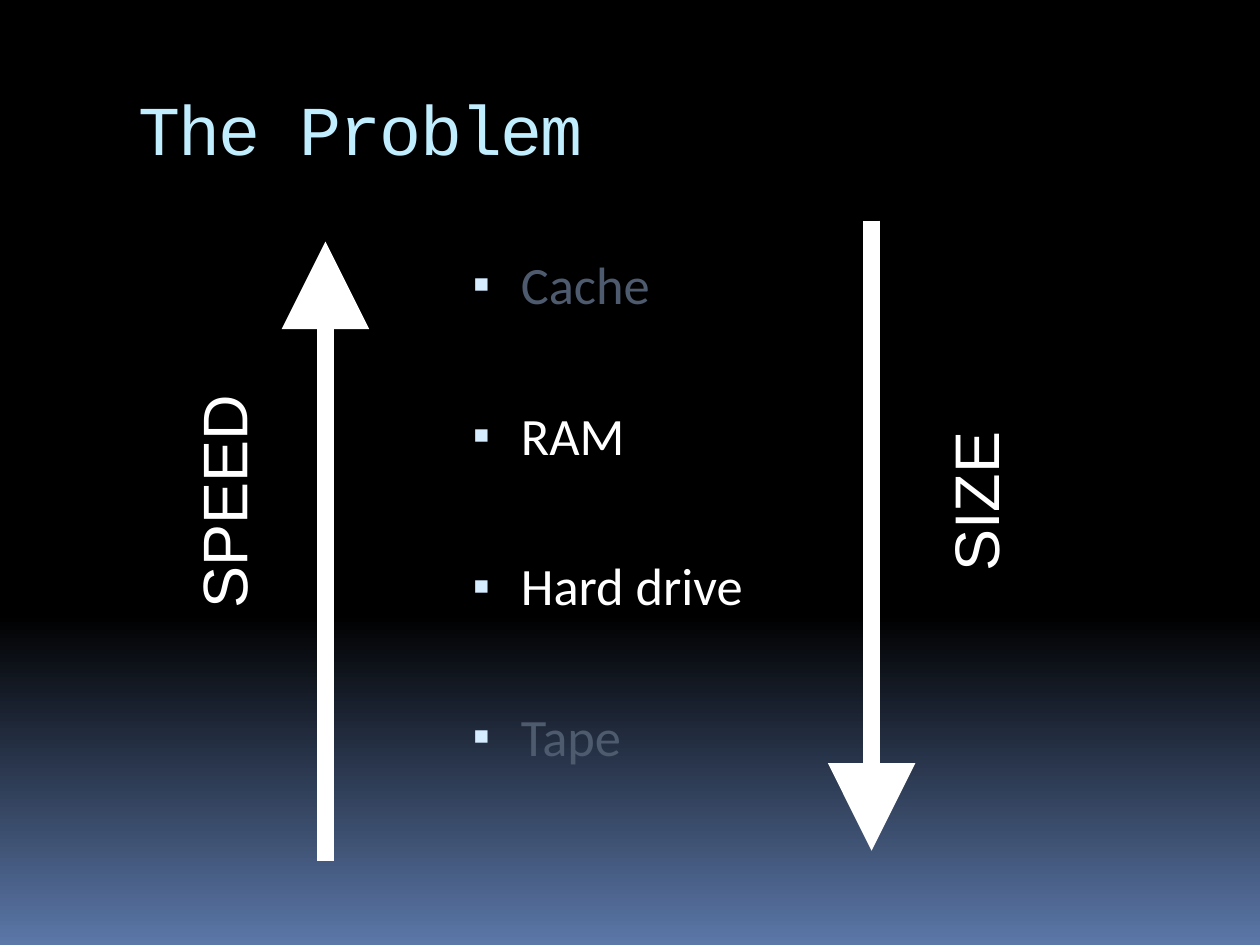
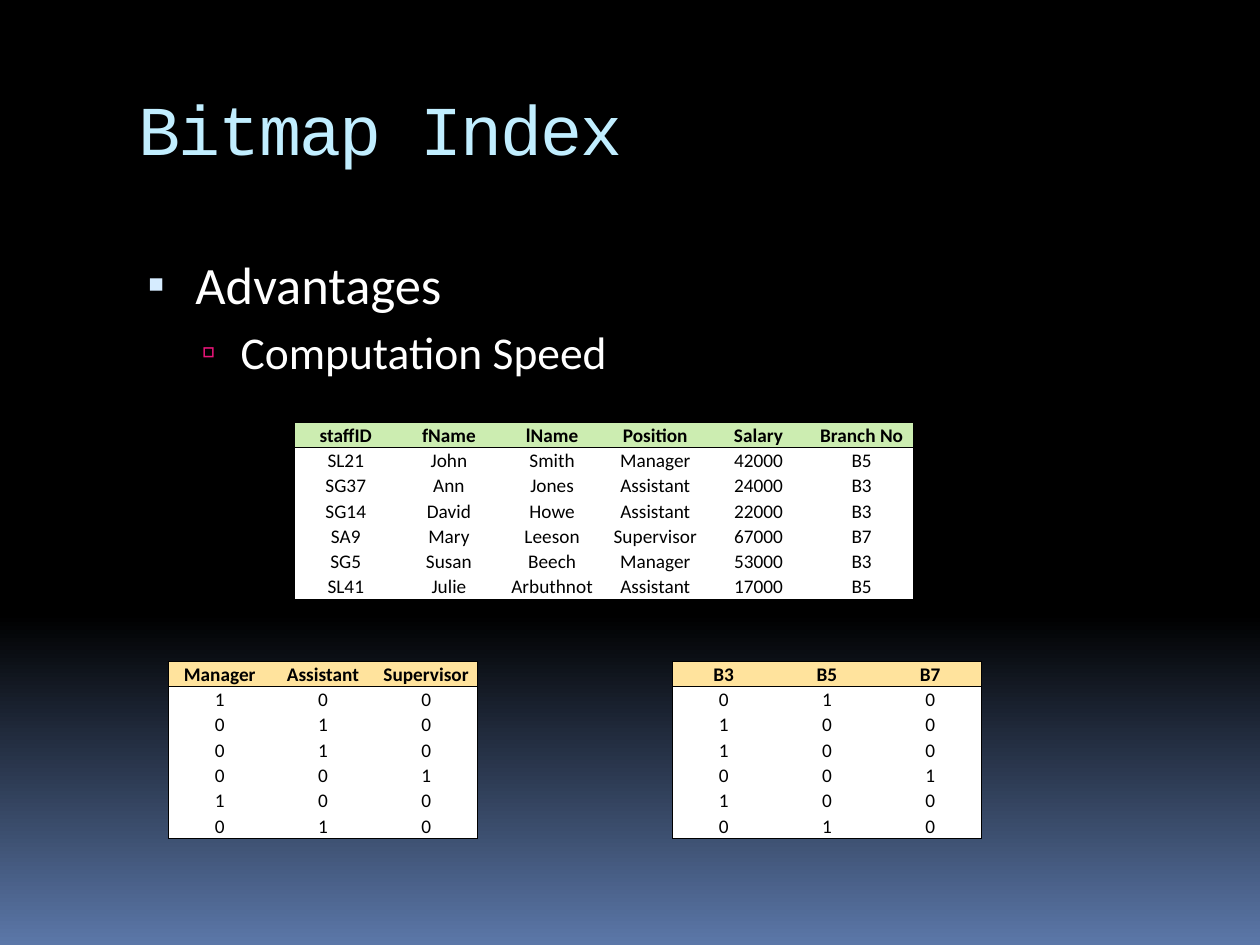
import pptx
import pptx.dml.color
import pptx.enum.shapes
import pptx.enum.text
import pptx.oxml
import pptx.oxml.ns
import pptx.util
from lxml import etree

Cm = pptx.util.Cm
Pt = pptx.util.Pt
RGBColor = pptx.dml.color.RGBColor
Anchor = pptx.enum.text.MSO_ANCHOR
Align = pptx.enum.text.PP_ALIGN
qn = pptx.oxml.ns.qn

BLACK = RGBColor(0x00, 0x00, 0x00)
WHITE = RGBColor(0xFF, 0xFF, 0xFF)
HORIZON_BLUE = RGBColor(0x5B, 0x77, 0xA8)
TITLE_BLUE = RGBColor(0xC1, 0xEE, 0xFF)
BULLET_BLUE = RGBColor(0xD6, 0xEC, 0xFF)
BULLET_PINK = RGBColor(0xEA, 0x15, 0x7A)
DIMMED = RGBColor(0x4E, 0x5B, 0x6F)
HEADER_GREEN = RGBColor(0xCC, 0xED, 0xB1)
HEADER_YELLOW = RGBColor(0xFF, 0xE3, 0x9D)

TITLE_FONT = {"name": "Courier New", "size": Pt(40)}
AXIS_FONT = {"name": "Arial", "size": Pt(36)}
CELL_FONT = {"name": "Calibri", "size": Pt(11)}
CELL_FORMAT = {
    "vertical_anchor": Anchor.BOTTOM,
    "margin_left": Cm(0.03),
    "margin_right": Cm(0.03),
    "margin_top": Cm(0.03),
    "margin_bottom": Cm(0),
}
BULLET_LEVELS = [
    {"char": "▪", "color": BULLET_BLUE, "percent": 95, "size": Pt(30),
     "left": Cm(1.15), "hanging": Cm(0.97)},
    {"char": "▫", "color": BULLET_PINK, "percent": 90, "size": Pt(26),
     "left": Cm(2.06), "hanging": Cm(0.79)},
]
# Left edge and width of each bar beside the title
TITLE_BARS = [(Cm(0.86), Cm(0.13)), (Cm(0.74), Cm(0.08)),
              (Cm(0.69), Cm(0.03)), (Cm(0.61), Cm(0.03))]

COLUMN_WIDTH = Cm(2.08)
ROW_HEIGHT = Cm(0.51)
NO_GRID_STYLE = "{2D5ABB26-0587-4C30-8999-92F81FD0307C}"

STAFF_HEADER = ["staffID", "fName", "lName", "Position", "Salary", "Branch No"]
STAFF = [
    ["SL21", "John", "Smith", "Manager", "42000", "B5"],
    ["SG37", "Ann", "Jones", "Assistant", "24000", "B3"],
    ["SG14", "David", "Howe", "Assistant", "22000", "B3"],
    ["SA9", "Mary", "Leeson", "Supervisor", "67000", "B7"],
    ["SG5", "Susan", "Beech", "Manager", "53000", "B3"],
    ["SL41", "Julie", "Arbuthnot", "Assistant", "17000", "B5"],
]


def apply_format(target, values):
    for name, value in values.items():
        setattr(target, name, value)


def add_run(paragraph, text, font, color):
    run = paragraph.add_run()
    run.text = text
    apply_format(run.font, font)
    run.font.color.rgb = color
    return run


def add_text_frame(slide, left, top, width, height, anchor=Anchor.TOP):
    box = slide.shapes.add_textbox(left, top, width, height)
    apply_format(box.text_frame, {"word_wrap": True, "vertical_anchor": anchor})
    return box.text_frame


def add_title_bars(slide):
    for left, width in TITLE_BARS:
        bar = slide.shapes.add_shape(
            pptx.enum.shapes.MSO_SHAPE.RECTANGLE, left, Cm(1.88), width, Cm(1.02))
        bar.shadow.inherit = False
        bar.fill.solid()
        bar.fill.fore_color.rgb = BLACK
        bar.line.fill.background()


def add_titled_slide(presentation, title):
    slide = presentation.slides.add_slide(presentation.slide_layouts[6])
    fill = slide.background.fill
    fill.gradient()
    fill.gradient_angle = 270
    for stop, position, color in zip(
            fill.gradient_stops, (0.65, 1), (BLACK, HORIZON_BLUE)):
        stop.position = position
        stop.color.rgb = color
    add_title_bars(slide)
    frame = add_text_frame(slide, Cm(2.54), Cm(1.42), Cm(21.59), Cm(2.54),
                           Anchor.MIDDLE)
    frame.margin_bottom = Cm(0.37)
    run = add_run(frame.paragraphs[0], title, TITLE_FONT, TITLE_BLUE)
    run.font._element.set("spc", "-100")
    return slide


def set_bullet(paragraph, level):
    properties = paragraph._p.get_or_add_pPr()
    properties.set("marL", str(level["left"]))
    properties.set("indent", str(-level["hanging"]))
    color = etree.SubElement(properties, qn("a:buClr"))
    etree.SubElement(color, qn("a:srgbClr"), val=str(level["color"]))
    etree.SubElement(properties, qn("a:buSzPct"), val=str(level["percent"] * 1000))
    etree.SubElement(properties, qn("a:buFont"), typeface="Arial")
    etree.SubElement(properties, qn("a:buChar"), char=level["char"])


def add_bullets(slide, left, width, height, items, gap):
    """Each item is (text, level, color); gap separates the paragraphs."""
    frame = add_text_frame(slide, left, Cm(4.95), width, height)
    for index, (text, depth, color) in enumerate(items):
        paragraph = frame.add_paragraph() if index else frame.paragraphs[0]
        if index:
            paragraph.space_before = gap
        level = BULLET_LEVELS[depth]
        paragraph.level = depth
        set_bullet(paragraph, level)
        add_run(paragraph, text, {"name": "Calibri", "size": level["size"]}, color)


def add_axis_label(slide, text, left):
    box = slide.shapes.add_textbox(left, Cm(9.22), Cm(6.25), Cm(1.78))
    box.rotation = 270
    box.text_frame.word_wrap = True
    paragraph = box.text_frame.paragraphs[0]
    paragraph.alignment = Align.CENTER
    add_run(paragraph, text, AXIS_FONT, WHITE)


def add_vertical_arrow(slide, x, start, end):
    arrow = slide.shapes.add_connector(
        pptx.enum.shapes.MSO_CONNECTOR.STRAIGHT, x, start, x, end)
    arrow.line.width = Pt(10)
    arrow.line.color.rgb = WHITE
    etree.SubElement(arrow.line._get_or_add_ln(), qn("a:tailEnd"),
                     type="triangle", w="lg", len="lg")
    etree.SubElement(arrow._element.spPr, qn("a:effectLst"))


def add_cell_borders(cell, sides):
    properties = cell._tc.get_or_add_tcPr()
    for side in sides:
        line = etree.SubElement(properties, qn(f"a:ln{side}"), w=str(Pt(0.5)))
        fill = etree.SubElement(line, qn("a:solidFill"))
        etree.SubElement(fill, qn("a:srgbClr"), val=str(BLACK))


def add_data_table(slide, left, top, header, rows, header_color):
    """Draw a table with an outer frame and a rule below its header."""
    grid = [header] + rows
    last_row, last_column = len(grid) - 1, len(header) - 1
    table = slide.shapes.add_table(
        len(grid), len(header), left, top,
        COLUMN_WIDTH * len(header), ROW_HEIGHT * len(grid)).table
    apply_format(table, {"first_row": False, "horz_banding": False})
    table._tbl.tblPr.find(qn("a:tableStyleId")).text = NO_GRID_STYLE
    for column in table.columns:
        column.width = COLUMN_WIDTH
    for row_index, values in enumerate(grid):
        table.rows[row_index].height = ROW_HEIGHT
        is_header = row_index == 0
        for column_index, value in enumerate(values):
            cell = table.cell(row_index, column_index)
            edges = {
                "L": column_index == 0,
                "R": column_index == last_column,
                "T": is_header,
                "B": row_index in (0, last_row),
            }
            add_cell_borders(cell, [side for side, drawn in edges.items() if drawn])
            apply_format(cell, CELL_FORMAT)
            cell.fill.solid()
            cell.fill.fore_color.rgb = header_color if is_header else WHITE
            paragraph = cell.text_frame.paragraphs[0]
            paragraph.alignment = Align.CENTER
            add_run(paragraph, value, {**CELL_FONT, "bold": is_header}, BLACK)


def bitmap_rows(column_name, keys):
    """Return one row of 0/1 flags per staff member for the given keys."""
    column = STAFF_HEADER.index(column_name)
    return [[str(int(person[column] == key)) for key in keys] for person in STAFF]


def build_problem_slide(presentation):
    slide = add_titled_slide(presentation, "The Problem")
    storage = [("Cache", 0, DIMMED), ("RAM", 0, WHITE),
               ("Hard drive", 0, WHITE), ("Tape", 0, DIMMED)]
    add_bullets(slide, Cm(9.1), Cm(6.99), Cm(11.76), storage, Pt(50.2))
    add_axis_label(slide, "SPEED", Cm(1.36))
    add_vertical_arrow(slide, Cm(6.56), Cm(17.35), Cm(4.87))
    add_axis_label(slide, "SIZE", Cm(16.51))
    add_vertical_arrow(slide, Cm(17.57), Cm(4.45), Cm(17.15))


def build_bitmap_slide(presentation):
    slide = add_titled_slide(presentation, "Bitmap Index")
    points = [("Advantages", 0, WHITE), ("Computation Speed", 1, WHITE)]
    add_bullets(slide, Cm(2.54), Cm(21.59), Cm(12.7), points, Pt(5.2))
    add_data_table(slide, Cm(5.93), Cm(8.51), STAFF_HEADER, STAFF, HEADER_GREEN)
    indexes = [
        (Cm(3.39), "Position", ["Manager", "Assistant", "Supervisor"]),
        (Cm(13.55), "Branch No", ["B3", "B5", "B7"]),
    ]
    for left, column_name, keys in indexes:
        add_data_table(slide, left, Cm(13.33), keys,
                       bitmap_rows(column_name, keys), HEADER_YELLOW)


def main():
    presentation = pptx.Presentation()
    presentation.slide_width = Cm(25.4)
    presentation.slide_height = Cm(19.05)
    build_problem_slide(presentation)
    build_bitmap_slide(presentation)
    presentation.save("out.pptx")


if __name__ == "__main__":
    main()
